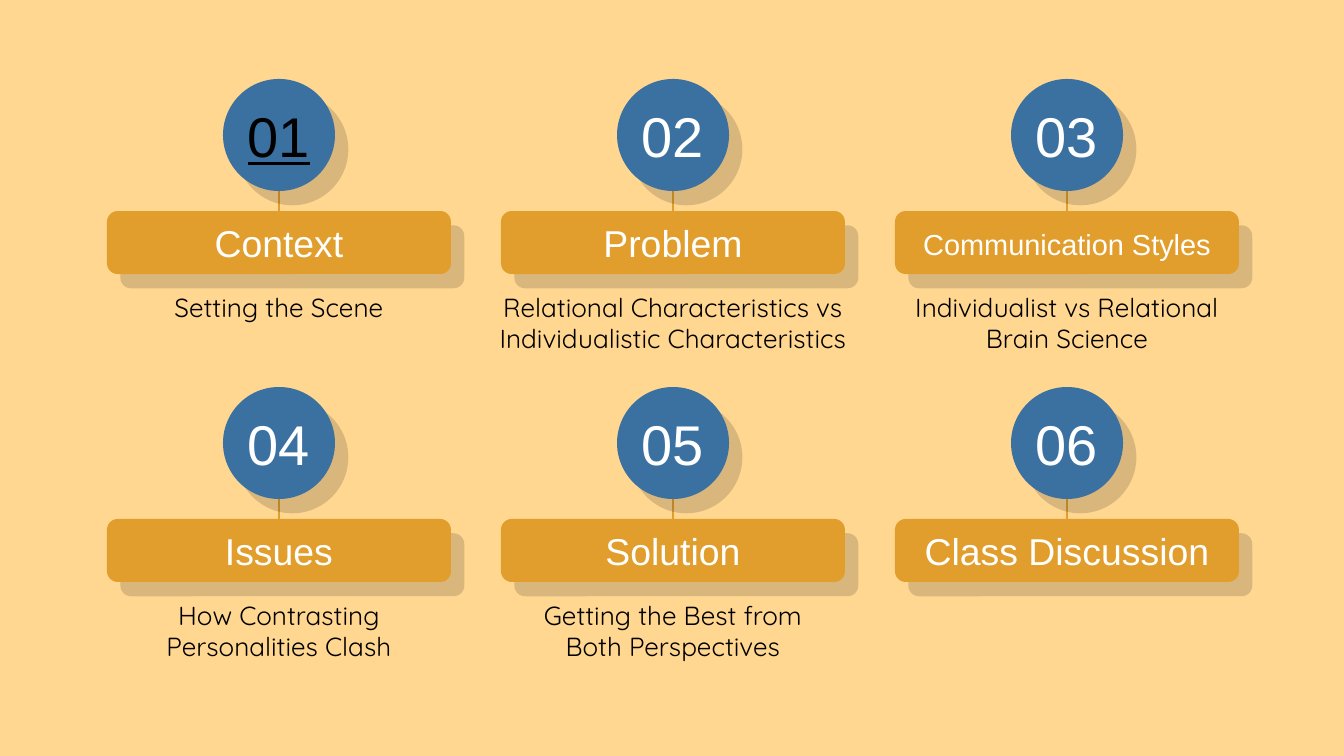
import pptx
import pptx.util
import pptx.oxml
import pptx.oxml.ns
from pptx.dml.color import RGBColor
from pptx.enum.shapes import MSO_CONNECTOR, MSO_SHAPE
from pptx.enum.text import MSO_ANCHOR, PP_ALIGN
from lxml import etree

PX = 914400 / 134.4
SAND = RGBColor(0xFF, 0xD7, 0x91)
GOLD = RGBColor(0xE1, 0x9E, 0x2C)
BLUE = RGBColor(0x3A, 0x71, 0xA1)
WHITE = RGBColor(0xFF, 0xFF, 0xFF)
BLACK = RGBColor(0x00, 0x00, 0x00)

SHADOW = (
    '<a:effectLst %s><a:outerShdw blurRad="0" dist="133350" dir="2820000" '
    'algn="bl" rotWithShape="0"><a:srgbClr val="000000">'
    '<a:alpha val="14000"/></a:srgbClr></a:outerShdw></a:effectLst>'
    % pptx.oxml.ns.nsdecls("a")
)

prs = pptx.Presentation()
prs.slide_width = round(1344 * PX)
prs.slide_height = round(756 * PX)
s = prs.slides.add_slide(prs.slide_layouts[6])
s.background.fill.solid()
s.background.fill.fore_color.rgb = SAND


def add_shape(kind, x, y, w, h, color):
    sp = s.shapes.add_shape(kind, *(round(v * PX) for v in (x, y, w, h)))
    sp.fill.solid()
    sp.fill.fore_color.rgb = color
    sp.line.fill.background()
    sp.shadow.inherit = False
    effects = sp._element.spPr.find(pptx.oxml.ns.qn("a:effectLst"))
    effects.getparent().replace(effects, pptx.oxml.parse_xml(SHADOW))
    return sp


def add_text(text, cx, y, w, h, size, font, color, anchor=MSO_ANCHOR.TOP):
    tb = s.shapes.add_textbox(*(round(v * PX) for v in (cx - w / 2, y, w, h)))
    tf = tb.text_frame
    tf.word_wrap = True
    tf.vertical_anchor = anchor
    tf.margin_left = tf.margin_right = pptx.util.Inches(0.1)
    tf.margin_top = tf.margin_bottom = pptx.util.Inches(0.1)
    p = tf.paragraphs[0]
    p.alignment = PP_ALIGN.CENTER
    for i, line in enumerate(text.split("\n")):
        if i:
            p.add_line_break()
        r = p.add_run()
        r.text = line
        r.font.size = pptx.util.Pt(size)
        r.font.name = font
        r.font.color.rgb = color
    return p


# Agenda items: heading, heading size, heading anchor, caption, caption width
TOP, MIDDLE = MSO_ANCHOR.TOP, MSO_ANCHOR.MIDDLE
ITEMS = [
    ("Context", 20, TOP, "Setting the Scene", 344),
    ("Problem", 20, TOP,
     "Relational Characteristics vs Individualistic Characteristics", 374),
    ("Communication Styles", 15.5, MIDDLE,
     "Individualist vs Relational\nBrain Science", 344),
    ("Issues", 20, TOP, "How Contrasting Personalities Clash", 344),
    ("Solution", 20, TOP, "Getting the Best from Both Perspectives", 344),
    ("Class Discussion", 20, TOP, "", 344),
]

for i, (heading, size, anchor, caption, caption_w) in enumerate(ITEMS):
    cx = 279 + 394 * (i % 3)
    y = 79 + 308 * (i // 3)

    # Heading bar
    bar = add_shape(MSO_SHAPE.ROUNDED_RECTANGLE, cx - 172, y + 132, 344, 63, GOLD)
    bar.adjustments[0] = 0.17
    add_text(heading, cx, y + 128, 344, 73, size, "Arial", WHITE, anchor)

    # Stem from circle to bar
    stem = s.shapes.add_connector(
        MSO_CONNECTOR.STRAIGHT,
        *(round(v * PX) for v in (cx, y + 112, cx, y + 132)))
    stem.end_connect(bar, 0)
    stem.line.color.rgb = GOLD
    stem.line.width = pptx.util.Pt(1.5)
    etree.SubElement(stem._element.spPr, pptx.oxml.ns.qn("a:effectLst"))

    # Numbered circle; the current item is black and underlined
    add_shape(MSO_SHAPE.OVAL, cx - 56, y, 112, 112, BLUE)
    p = add_text(f"{i + 1:02}", cx, y + 13, 153, 87, 30, "Arial",
                 WHITE if i else BLACK, MIDDLE)
    if i == 0:
        p.runs[0].font.underline = True

    # Caption
    if caption:
        add_text(caption, cx, y + 199, caption_w, 91, 14, "Quicksand", BLACK)

prs.save("out.pptx")
